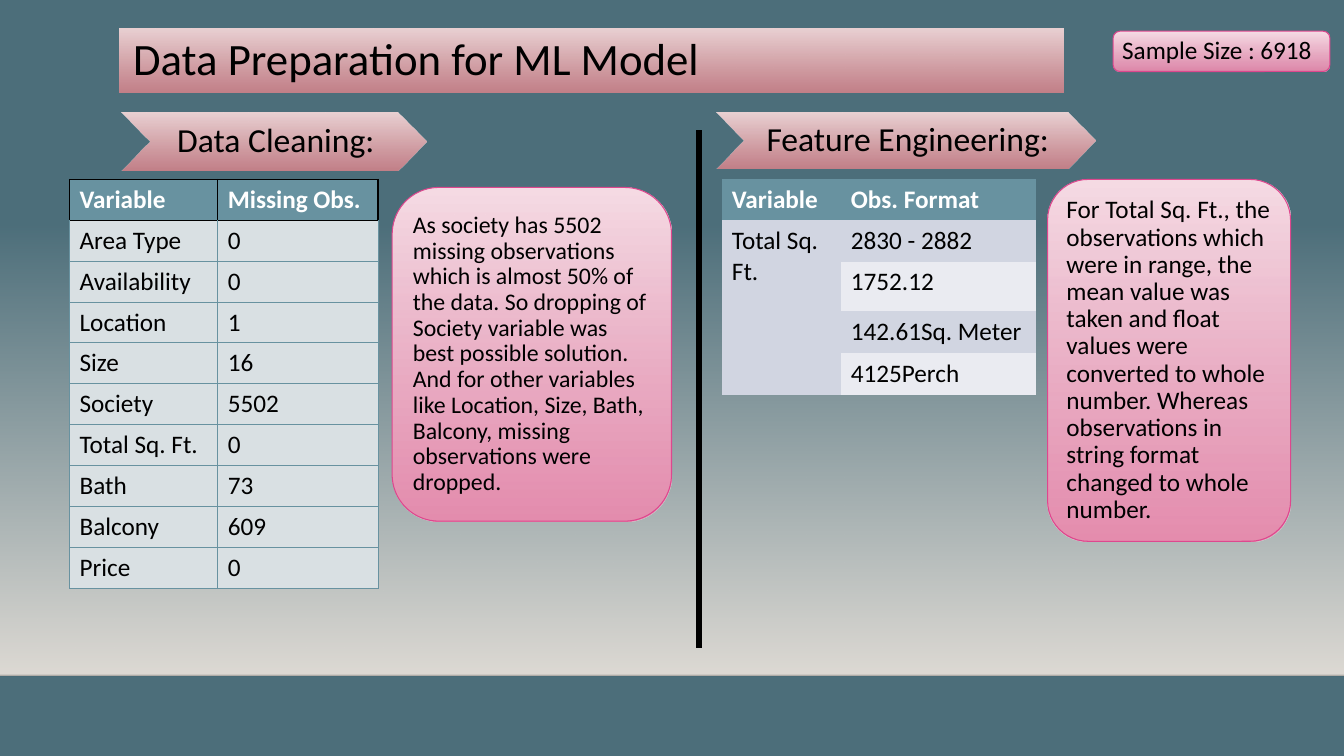
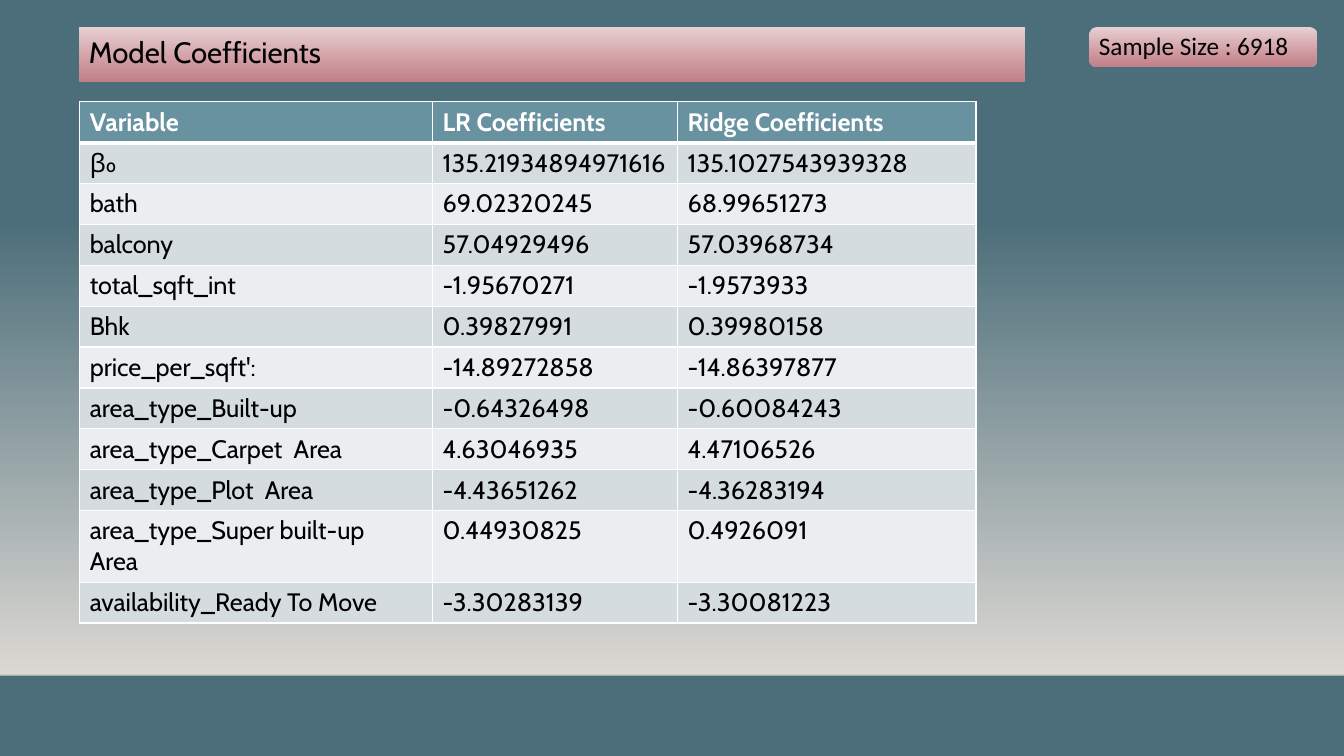
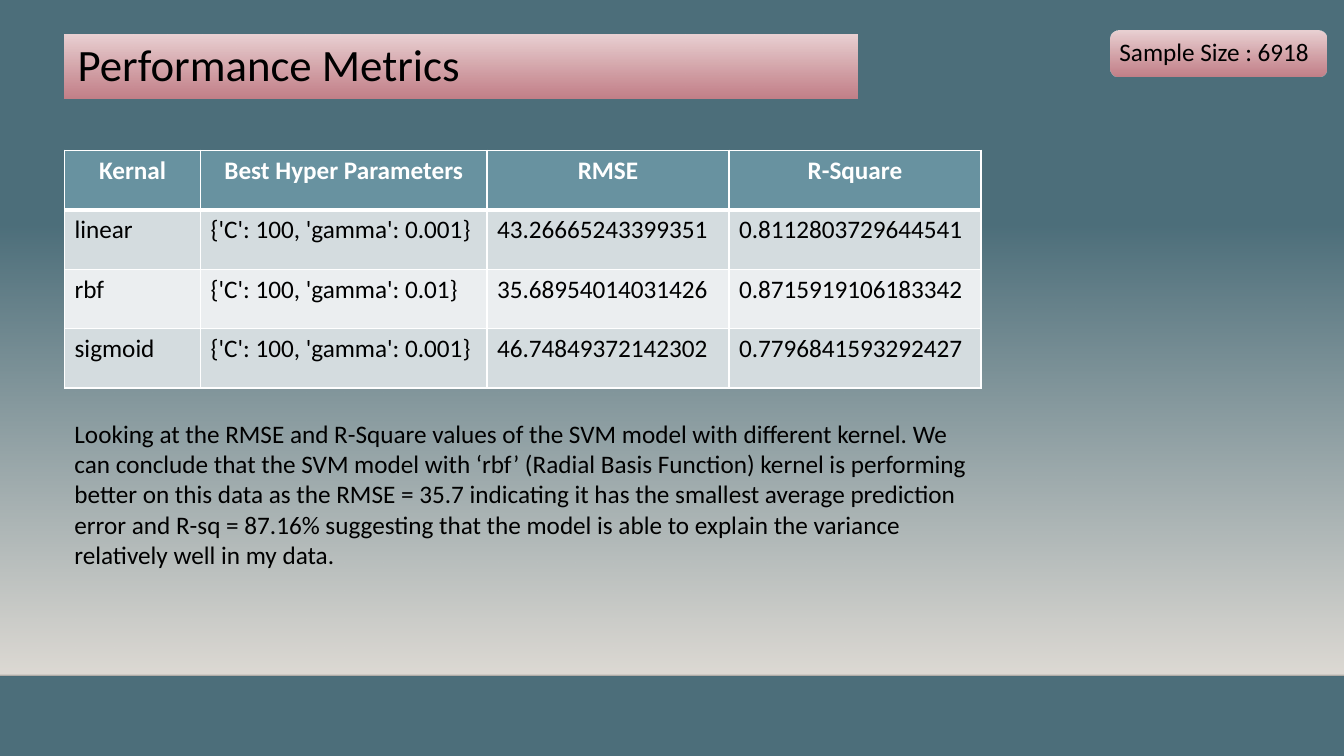
from dataclasses import dataclass

from lxml.etree import SubElement
from pptx import Presentation
from pptx.dml.color import RGBColor
from pptx.enum.shapes import MSO_CONNECTOR, MSO_SHAPE
from pptx.enum.text import MSO_ANCHOR, MSO_AUTO_SIZE, PP_ALIGN
from pptx.oxml.ns import qn
from pptx.util import Inches, Pt


@dataclass(frozen=True)
class Theme:
    """Colours, fonts and type sizes shared by the slides."""

    teal: str = "4C6E7A"
    sand: str = "DFDBD5"
    header: str = "6892A0"
    black: str = "000000"
    white: str = "FFFFFF"
    rose: tuple = ("EAD1D3", "CD828A")
    pink: tuple = ("F7DCE5", "EA8AAE")
    pink_line: str = "DE478E"
    panel_alpha: int = 92
    horizon_alpha: int = 20
    sans: str = "Calibri"
    rounded: str = "Cabin"
    title: int = 32
    small_title: int = 21
    heading: int = 24
    body: int = 18
    tight: int = 17


THEME = Theme()


@dataclass(frozen=True)
class TableLook:
    """Fills, borders and type of one kind of table."""

    fills: tuple
    line: tuple = None
    header_line: tuple = None
    header_rule: tuple = None
    font: str = THEME.sans
    header_align: PP_ALIGN = PP_ALIGN.LEFT


CLEANING_LOOK = TableLook(
    ("D9E0E3",), (THEME.header, 0.75), (THEME.black, 1), (THEME.black, 1)
)
FORMAT_LOOK = TableLook(("D1D5E1", "EAEBF1"))
RESULT_LINES = ((THEME.white, 1), (THEME.white, 1), (THEME.white, 3))
RESULT_FILLS = ("D4DCDF", "EBEEF0")
COEFFICIENT_LOOK = TableLook(RESULT_FILLS, *RESULT_LINES, font=THEME.rounded)
METRIC_LOOK = TableLook(RESULT_FILLS, *RESULT_LINES, header_align=PP_ALIGN.CENTER)
NO_GRID_STYLE = "{2D5ABB26-0587-4C30-8999-92F81FD0307C}"

MISSING_ROWS = [
    ("Variable", "Missing Obs."),
    ("Area Type", "0"),
    ("Availability", "0"),
    ("Location", "1"),
    ("Size", "16"),
    ("Society", "5502"),
    ("Total Sq. Ft.", "0"),
    ("Bath", "73"),
    ("Balcony", "609"),
    ("Price", "0"),
]
FORMAT_ROWS = [
    ("Variable", "Obs. Format"),
    ("Total Sq. Ft.", "2830 - 2882"),
    ("", "1752.12"),
    ("", "142.61Sq. Meter"),
    ("", "4125Perch"),
]
COEFFICIENT_ROWS = [
    ("Variable", "LR Coefficients", "Ridge Coefficients"),
    ("β₀", "135.21934894971616", "135.1027543939328"),
    ("bath", "69.02320245", "68.99651273"),
    ("balcony", "57.04929496", "57.03968734"),
    ("total_sqft_int", "-1.95670271", "-1.9573933"),
    ("Bhk", "0.39827991", "0.39980158"),
    ("price_per_sqft':", "-14.89272858", "-14.86397877"),
    ("area_type_Built-up", "-0.64326498", "-0.60084243"),
    ("area_type_Carpet  Area", "4.63046935", "4.47106526"),
    ("area_type_Plot  Area", "-4.43651262", "-4.36283194"),
    ("area_type_Super built-up  Area", "0.44930825", "0.4926091"),
    ("availability_Ready To Move", "-3.30283139", "-3.30081223"),
]
METRIC_ROWS = [
    ("Kernal", "Best Hyper Parameters", "RMSE", "R-Square"),
    ("linear", "{'C': 100, 'gamma': 0.001}", "43.26665243399351", "0.8112803729644541"),
    ("rbf", "{'C': 100, 'gamma': 0.01}", "35.68954014031426", "0.8715919106183342"),
    ("sigmoid", "{'C': 100, 'gamma': 0.001}", "46.74849372142302", "0.7796841593292427"),
]
CLEANING_NOTE = (
    "As society has 5502 missing observations which is almost 50% of the data. "
    "So dropping of Society variable was best possible solution. And for other "
    "variables like Location, Size, Bath, Balcony, missing observations were dropped."
)
FORMAT_NOTE = (
    "For Total Sq. Ft., the observations which were in range, the mean value was "
    "taken and float values were converted to whole number. Whereas observations "
    "in string format changed to whole number."
)
CONCLUSION = (
    "Looking at the RMSE and R-Square values of the SVM model with different kernel. "
    "We can conclude that the SVM model with ‘rbf’ (Radial Basis Function) kernel is "
    "performing better on this data as the RMSE = 35.7 indicating it has the smallest "
    "average prediction error and R-sq = 87.16% suggesting that the model is able to "
    "explain the variance relatively well in my data."
)


def inches(values):
    """Convert a sequence of numbers to lengths."""
    return [Inches(value) for value in values]


def set_alpha(colour, percent):
    """Make a colour element partly transparent."""
    SubElement(colour, qn("a:alpha")).set("val", str(percent * 1000))


def fill_gradient(shape, colours, alphas):
    """Fill a shape with a gradient running from top to bottom."""
    shape.fill.gradient()
    shape.fill.gradient_angle = 270
    for stop, colour in zip(shape.fill.gradient_stops, colours):
        stop.color.rgb = RGBColor.from_string(colour)
    elements = shape._element.spPr.find(qn("a:gradFill")).iter(qn("a:srgbClr"))
    for element, alpha in zip(elements, alphas):
        set_alpha(element, alpha)


def write(frame, text, size, font=THEME.sans, colour=THEME.black, bold=False,
          align=PP_ALIGN.LEFT, spacing=None):
    """Write one formatted paragraph into a text frame."""
    para = frame.paragraphs[0]
    para.alignment = align
    para.line_spacing = spacing
    span = para.add_run()
    span.text = text
    span.font.name = font
    span.font.size = Pt(size)
    span.font.bold = bold
    span.font.color.rgb = RGBColor.from_string(colour)


def set_margins(frame, left, top, right, bottom):
    """Set the insets of a text frame and centre its text vertically."""
    frame.margin_left, frame.margin_top = Inches(left), Inches(top)
    frame.margin_right, frame.margin_bottom = Inches(right), Inches(bottom)
    frame.word_wrap = True
    frame.auto_size = MSO_AUTO_SIZE.NONE
    frame.vertical_anchor = MSO_ANCHOR.MIDDLE


def add_title(page, area, text, size, margin, font=THEME.sans):
    """Turn the title placeholder into a rounded gradient bar."""
    title = page.shapes.title
    title.left, title.top, title.width, title.height = inches(area)
    geometry = SubElement(title._element.spPr, qn("a:prstGeom"))
    geometry.set("prst", "roundRect")
    SubElement(geometry, qn("a:avLst"))
    fill_gradient(title, THEME.rose, (100, THEME.panel_alpha))
    set_margins(title.text_frame, *[margin] * 4)
    write(title.text_frame, text, size, font, spacing=0.9)


def add_panel(page, kind, area, text, size, colours, margins,
              line=None, align=PP_ALIGN.LEFT):
    """Add a gradient shape that carries text."""
    panel = page.shapes.add_shape(kind, *inches(area))
    panel.shadow.inherit = False
    fill_gradient(panel, colours, (100, THEME.panel_alpha))
    if line:
        panel.line.color.rgb = RGBColor.from_string(line)
        panel.line.width = Pt(0.75)
    else:
        panel.line.fill.background()
    set_margins(panel.text_frame, *margins)
    write(panel.text_frame, text, size, align=align, spacing=0.9)


def add_chevron(page, area, text):
    """Add a section heading in a chevron."""
    add_panel(page, MSO_SHAPE.CHEVRON, area, text, THEME.heading, THEME.rose,
              (0.03, 0.02, 0, 0.02), align=PP_ALIGN.CENTER)


def add_note(page, area, text, size=THEME.body, colours=THEME.pink, line=THEME.pink_line):
    """Add a rounded note."""
    add_panel(page, MSO_SHAPE.ROUNDED_RECTANGLE, area, text, size, colours,
              (0.07,) * 4, line)


def add_sample_size(page, area, colours=THEME.rose, line=None):
    """Add the sample size tag."""
    add_note(page, area, "Sample Size : 6918", colours=colours, line=line)


def add_line(page, start, end, colour, width):
    """Add a straight line without a shadow."""
    line = page.shapes.add_connector(MSO_CONNECTOR.STRAIGHT, *inches(start + end))
    line.line.color.rgb = RGBColor.from_string(colour)
    line.line.width = Pt(width)
    SubElement(line._element.spPr, qn("a:effectLst"))
    return line


def set_borders(cell, left, right, top, bottom):
    """Draw the four borders of a table cell."""
    properties = cell._tc.get_or_add_tcPr()
    for side, border in zip("LRTB", (left, right, top, bottom)):
        edge = SubElement(properties, qn(f"a:ln{side}"))
        if border:
            colour, width = border
            edge.set("w", str(Pt(width)))
            fill = SubElement(edge, qn("a:solidFill"))
            SubElement(fill, qn("a:srgbClr")).set("val", colour)
        else:
            SubElement(edge, qn("a:noFill"))


def add_data_table(page, position, widths, heights, rows, look):
    """Add a table with a header row and banded body rows."""
    size = (sum(widths), sum(heights))
    frame = page.shapes.add_table(len(rows), len(widths), *inches(position + size))
    table = frame.table
    table.horz_banding = False
    table._tbl.tblPr.find(qn("a:tableStyleId")).text = NO_GRID_STYLE
    for column, width in zip(table.columns, widths):
        column.width = Inches(width)
    for row, height in zip(table.rows, heights):
        row.height = Inches(height)
    for index, values in enumerate(rows):
        is_header = index == 0
        side = look.header_line if is_header else look.line
        top = look.header_rule if index == 1 else side
        bottom = look.header_rule if is_header else side
        fill = THEME.header if is_header else look.fills[(index - 1) % len(look.fills)]
        for column, text in enumerate(values):
            cell = table.cell(index, column)
            set_borders(cell, side, side, top, bottom)
            cell.fill.solid()
            cell.fill.fore_color.rgb = RGBColor.from_string(fill)
            if text:
                write(cell.text_frame, text, THEME.body, look.font,
                      THEME.white if is_header else THEME.black, is_header,
                      look.header_align if is_header else PP_ALIGN.LEFT)
    return table


def build_backdrop(layout, page):
    """Give the layout its background, fading band and horizon line."""
    layout.background.fill.solid()
    layout.background.fill.fore_color.rgb = RGBColor.from_string(THEME.teal)
    band = page.shapes.add_shape(MSO_SHAPE.RECTANGLE, *inches((0, 2.21, 13.33, 4.49)))
    band.shadow.inherit = False
    band.line.fill.background()
    fill_gradient(band, (THEME.sand, THEME.sand), (0, 100))
    horizon = add_line(page, (0, 6.7), (13.33, 6.7), THEME.black, 1)
    set_alpha(next(horizon._element.spPr.iter(qn("a:srgbClr"))), THEME.horizon_alpha)
    for offset, shape in enumerate((band, horizon)):
        next(shape._element.iter(qn("p:cNvPr"))).set("id", str(100 + offset))
        layout.shapes._spTree.insert(2 + offset, shape._element)


def build_preparation(page):
    """Build the data preparation slide."""
    add_title(page, (1.19, 0.28, 9.36, 0.64), "Data Preparation for ML Model",
              THEME.title, 0.13)
    add_chevron(page, (1.21, 1.12, 3.02, 0.57), "Data Cleaning:")
    add_data_table(page, (0.69, 1.78), (1.47, 1.59), [0.4] * len(MISSING_ROWS),
                   MISSING_ROWS, CLEANING_LOOK)
    add_note(page, (3.89, 1.86, 2.77, 3.31), CLEANING_NOTE, THEME.tight)
    for left in (6.92, 6.94, 6.95):
        add_line(page, (left, 1.29), (left, 6.43), THEME.black, 1.75)
    add_chevron(page, (7.11, 1.12, 3.76, 0.55), "Feature Engineering:")
    formats = add_data_table(page, (7.16, 1.78), (1.18, 1.94),
                             (0.4, 0.41, 0.49, 0.42, 0.41), FORMAT_ROWS, FORMAT_LOOK)
    formats.cell(1, 0).merge(formats.cell(4, 0))
    add_note(page, (10.39, 1.78, 2.41, 3.59), FORMAT_NOTE)
    add_sample_size(page, (11.04, 0.31, 2.15, 0.4), THEME.pink, THEME.pink_line)


def build_coefficients(page):
    """Build the model coefficients slide."""
    add_title(page, (0.79, 0.27, 9.37, 0.54), "Model Coefficients",
              THEME.small_title, 0.09, THEME.rounded)
    add_data_table(page, (0.79, 1.01), (3.5, 2.43, 2.96), [0.4] * len(COEFFICIENT_ROWS),
                   COEFFICIENT_ROWS, COEFFICIENT_LOOK)
    add_sample_size(page, (10.81, 0.27, 2.25, 0.39))


def build_metrics(page):
    """Build the performance metrics slide."""
    add_title(page, (0.64, 0.34, 7.86, 0.64), "Performance Metrics", THEME.title, 0.13)
    add_sample_size(page, (11.01, 0.3, 2.15, 0.46))
    add_data_table(page, (0.64, 1.49), (1.35, 2.84, 2.4, 2.5), [0.59] * len(METRIC_ROWS),
                   METRIC_ROWS, METRIC_LOOK)
    box = page.shapes.add_textbox(*inches((0.64, 4.1, 9.1, 1.62)))
    box.text_frame.word_wrap = True
    write(box.text_frame, CONCLUSION, THEME.body)


def main():
    """Build and save the deck."""
    deck = Presentation()
    deck.slide_width, deck.slide_height = inches((13.33, 7.5))
    layout = deck.slide_layouts.get_by_name("Title Only")
    builders = (build_preparation, build_coefficients, build_metrics)
    pages = [deck.slides.add_slide(layout) for _ in builders]
    build_backdrop(layout, pages[0])
    for build, page in zip(builders, pages):
        build(page)
    deck.save("out.pptx")


if __name__ == "__main__":
    main()
